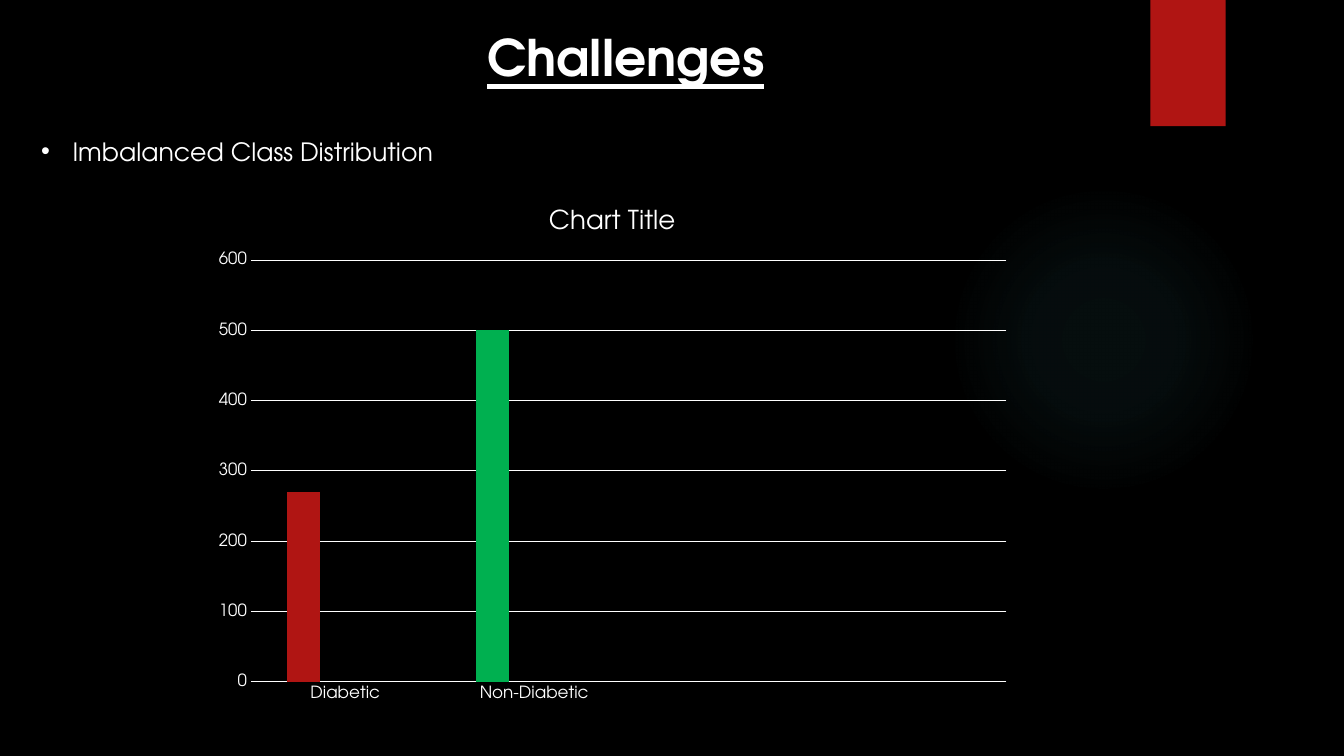
from lxml import etree
from pptx import Presentation
from pptx.chart.data import CategoryChartData
from pptx.dml.color import RGBColor
from pptx.enum.chart import XL_CHART_TYPE, XL_TICK_MARK
from pptx.enum.shapes import MSO_SHAPE
from pptx.enum.text import MSO_ANCHOR, PP_ALIGN
from pptx.oxml import parse_xml
from pptx.oxml.ns import nsdecls, qn
from pptx.util import Cm, Pt

COLUMNS = XL_CHART_TYPE.COLUMN_CLUSTERED
NO_TICK = XL_TICK_MARK.NONE
OVAL, RECTANGLE = MSO_SHAPE.OVAL, MSO_SHAPE.RECTANGLE
MIDDLE = MSO_ANCHOR.MIDDLE
LEFT, CENTER = PP_ALIGN.LEFT, PP_ALIGN.CENTER

FONT = "TeX Gyre Adventor"
WHITE, BLACK, RED, GREEN = "FFFFFF", "000000", "B01513", "00B050"
GLOW = "50B9C1"
GLOW_STOPS = [(0, 7), (36, 6), (69, 0)]

HEADING = "Challenges"
CHALLENGE = "Imbalanced Class Distribution"
CHART_HEADING = "Chart Title"
CLASSES = ["Diabetic", "Non-Diabetic", "", ""]
COUNTS = [
    ("Series 1", [270, 500, None, None], RED),
    ("Series 2", [None] * 4, "EA6312"),
    ("Series 3", [None] * 4, "E6B729"),
]
PLOT_AREA = {"x": 0.06, "y": 0.14, "w": 0.92, "h": 0.8}


def rgb(value):
    return RGBColor.from_string(value)


def style(font, size, bold=False, underline=False, color=WHITE):
    font.name, font.size = FONT, Pt(size)
    font.bold, font.underline = bold, underline
    font.color.rgb = rgb(color)


def write(frame, text, size, align=LEFT, **look):
    frame.word_wrap = True
    frame.vertical_anchor = MIDDLE
    paragraph = frame.paragraphs[0]
    paragraph.alignment = align
    run = paragraph.add_run()
    run.text = text
    style(run.font, size, **look)
    return paragraph


def decorate(kind, left, top, width, height, color):
    shape = slide.shapes.add_shape(kind, Cm(left), Cm(top), Cm(width), Cm(height))
    shape.shadow.inherit = False
    shape.fill.solid()
    shape.fill.fore_color.rgb = rgb(color)
    shape.line.fill.background()
    return shape


def draw_line(line):
    line.color.rgb = rgb(WHITE)
    line.width = Pt(0.75)


deck = Presentation()
deck.slide_width, deck.slide_height = Cm(33.87), Cm(19.05)
slide = deck.slides.add_slide(deck.slide_layouts[5])
slide.background.fill.solid()
slide.background.fill.fore_color.rgb = rgb(BLACK)

halo = decorate(OVAL, 23.9, 4.65, 7.82, 7.82, GLOW)
stops = "".join(
    f'<a:gs pos="{place * 1000}"><a:srgbClr val="{GLOW}">'
    f'<a:alpha val="{opacity * 1000}"/></a:srgbClr></a:gs>'
    for place, opacity in GLOW_STOPS
)
solid = halo._element.spPr.find(qn("a:solidFill"))
solid.getparent().replace(solid, parse_xml(
    f'<a:gradFill {nsdecls("a")}><a:gsLst>{stops}</a:gsLst><a:path path="circle">'
    '<a:fillToRect l="50000" t="50000" r="50000" b="50000"/></a:path></a:gradFill>'
))
decorate(RECTANGLE, 28.99, 0, 1.9, 3.18, RED)

heading = slide.shapes.title
heading.left, heading.top, heading.width, heading.height = Cm(7.39), Cm(0.53), Cm(16.76), Cm(1.8)
write(heading.text_frame, HEADING, 36, align=CENTER, bold=True, underline=True)

challenge = slide.shapes.add_textbox(Cm(0.79), Cm(3.3), Cm(32.61), Cm(1.02))
bullet_props = write(challenge.text_frame, CHALLENGE, 18)._p.get_or_add_pPr()
bullet_props.set("marL", str(Cm(0.79)))
bullet_props.set("indent", str(-Cm(0.79)))
etree.SubElement(bullet_props, qn("a:buFont")).set("typeface", "Arial")
etree.SubElement(bullet_props, qn("a:buChar")).set("char", "•")

class_counts = CategoryChartData()
class_counts.categories = CLASSES
for name, values, _ in COUNTS:
    class_counts.add_series(name, values)
chart = slide.shapes.add_chart(
    COLUMNS, Cm(5.08), Cm(4.7), Cm(20.7), Cm(13.28), class_counts).chart
style(chart.font, 10)
chart.has_legend = False
chart.has_title = True
write(chart.chart_title.text_frame, CHART_HEADING, 18.6, align=CENTER)
chart.chart_title.include_in_layout = False

columns = chart.plots[0]
columns.gap_width, columns.overlap, columns.vary_by_categories = 219, -27, False
for series, (_, _, color) in zip(columns.series, COUNTS):
    series.format.fill.solid()
    series.format.fill.fore_color.rgb = rgb(color)
non_diabetic = columns.series[0].points[1].format.fill
non_diabetic.solid()
non_diabetic.fore_color.rgb = rgb(GREEN)

classes, count = chart.category_axis, chart.value_axis
for axis in (classes, count):
    axis.major_tick_mark = axis.minor_tick_mark = NO_TICK
    style(axis.tick_labels.font, 12)
draw_line(classes.format.line)
count.format.line.fill.background()
count.minimum_scale, count.maximum_scale, count.major_unit = 0, 600, 100
draw_line(count.major_gridlines.format.line)

plot_area = chart._chartSpace.chart.plotArea
for old_layout in plot_area.findall(qn("c:layout")):
    plot_area.remove(old_layout)
settings = [("layoutTarget", "inner"), ("xMode", "edge"), ("yMode", "edge"), *PLOT_AREA.items()]
layout = etree.Element(qn("c:layout"))
manual = etree.SubElement(layout, qn("c:manualLayout"))
for tag, value in settings:
    etree.SubElement(manual, qn(f"c:{tag}")).set("val", str(value))
plot_area.insert(0, layout)

deck.save("out.pptx")
